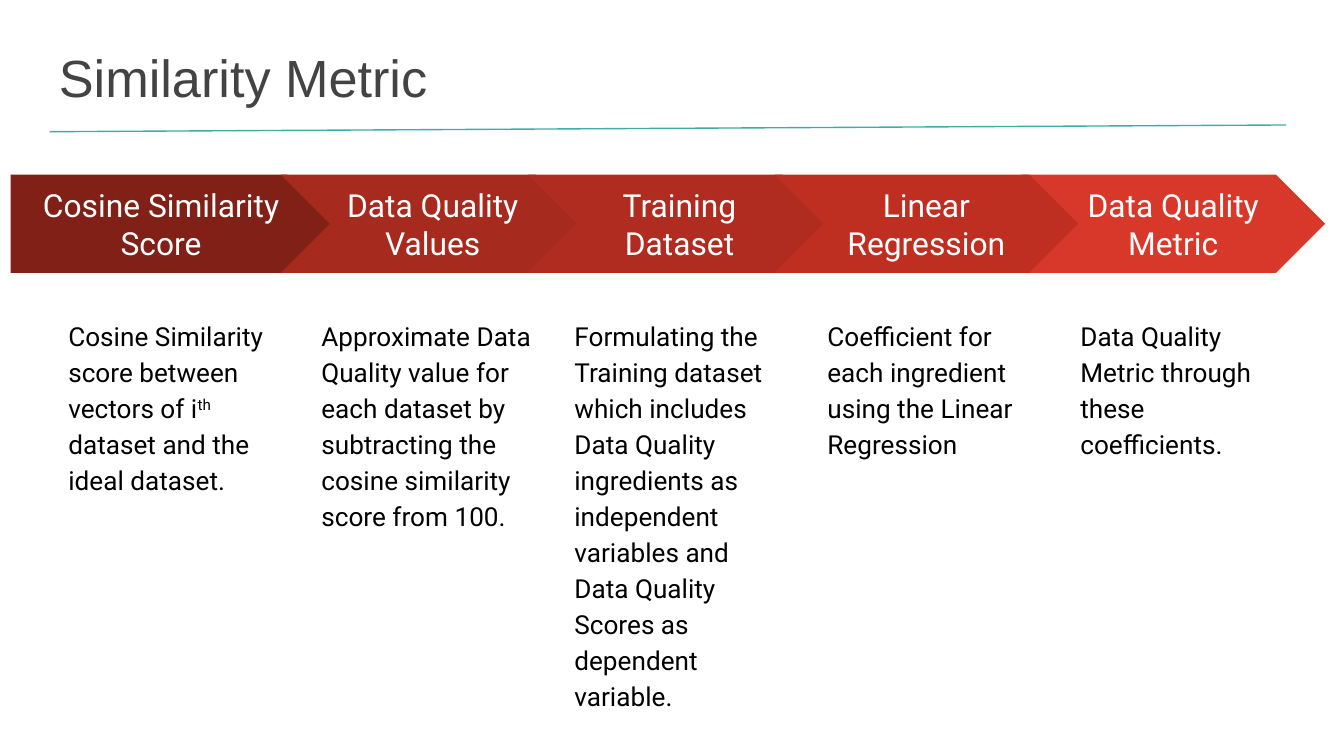
from lxml import etree
from pptx import Presentation
from pptx.dml.color import RGBColor
from pptx.enum.shapes import MSO_CONNECTOR, MSO_SHAPE
from pptx.enum.text import MSO_ANCHOR, PP_ALIGN
from pptx.oxml.ns import qn
from pptx.util import Inches, Pt

STRAIGHT = MSO_CONNECTOR.STRAIGHT
PENTAGON, CHEVRON = MSO_SHAPE.PENTAGON, MSO_SHAPE.CHEVRON
TOP, MIDDLE = MSO_ANCHOR.TOP, MSO_ANCHOR.MIDDLE
LEFT, CENTER = PP_ALIGN.LEFT, PP_ALIGN.CENTER

WHITE = RGBColor(0xFF, 0xFF, 0xFF)
BLACK = RGBColor(0x00, 0x00, 0x00)
GRAY = RGBColor(0x43, 0x43, 0x43)
TEAL = RGBColor(0x3E, 0xAD, 0xA7)
REDS = [
    RGBColor(0x80, 0x20, 0x17),
    RGBColor(0xA7, 0x2A, 0x1E),
    RGBColor(0xB0, 0x2C, 0x20),
    RGBColor(0xBE, 0x2F, 0x22),
    RGBColor(0xD8, 0x38, 0x29),
]

TITLE = "Similarity Metric"
# Heading, then the description as (text, is superscript) runs
STEPS = [
    ("Cosine Similarity Score",
     [("Cosine Similarity score between vectors of i", False),
      ("th", True),
      (" dataset and the ideal dataset.", False)]),
    ("Data Quality Values",
     [("Approximate Data Quality value for each dataset by subtracting "
       "the cosine similarity score from 100.", False)]),
    ("Training Dataset",
     [("Formulating the Training dataset which includes Data Quality "
       "ingredients as independent variables and Data Quality Scores as "
       "dependent variable.", False)]),
    ("Linear Regression",
     [("Coefficient for each ingredient using the Linear Regression", False)]),
    ("Data Quality Metric",
     [("Data Quality Metric through these coefficients.", False)]),
]
STACKING = [0, 1, 2, 4, 3]  # the fourth arrow lies over the fifth

SLIDE_WIDTH = Inches(10)
SLIDE_HEIGHT = SLIDE_WIDTH * 9 // 16

ARROW_TOP, ARROW_HEIGHT = 1.3, 0.73
FIRST_LEFT, FIRST_WIDTH = 0.08, 2.42
CHEVRON_LEFT, CHEVRON_WIDTH = 2.09, 2.26
CHEVRON_PITCH = (7.6 - CHEVRON_LEFT) / (len(STEPS) - 2)
TEXT_LEFT, TEXT_TOP = 0.41, 2.25
TEXT_WIDTH, TEXT_HEIGHT = 1.78, 2.57
TEXT_PITCH = (7.94 - TEXT_LEFT) / (len(STEPS) - 1)


def write(shape, runs, size, color, font, align=LEFT, anchor=TOP, spacing=None):
    frame = shape.text_frame
    frame.word_wrap = True
    frame.vertical_anchor = anchor
    frame.margin_left = frame.margin_right = Inches(0.1)
    frame.margin_top = frame.margin_bottom = Inches(0.1)
    para = frame.paragraphs[0]
    para.alignment = align
    para.line_spacing = spacing
    for text, superscript in runs:
        span = para.add_run()
        span.text = text
        span.font.name = font
        span.font.size = Pt(size)
        span.font.color.rgb = color
        if superscript:
            span.font._element.set("baseline", "30000")


def add_textbox(page, left, top, width, height):
    return page.shapes.add_textbox(
        Inches(left), Inches(top), Inches(width), Inches(height))


def add_arrow(page, index, heading):
    if index == 0:
        kind, left, width = PENTAGON, FIRST_LEFT, FIRST_WIDTH
    else:
        kind, width = CHEVRON, CHEVRON_WIDTH
        left = CHEVRON_LEFT + (index - 1) * CHEVRON_PITCH
    arrow = page.shapes.add_shape(
        kind, Inches(left), Inches(ARROW_TOP), Inches(width), Inches(ARROW_HEIGHT))
    arrow.shadow.inherit = False
    arrow.fill.solid()
    arrow.fill.fore_color.rgb = REDS[index]
    arrow.line.fill.background()
    write(arrow, [(heading, False)], 17, WHITE, "Roboto", CENTER, MIDDLE)


def add_rule(page):
    rule = page.shapes.add_connector(
        STRAIGHT, Inches(0.37), Inches(0.98), Inches(9.57), Inches(0.93))
    rule.line.color.rgb = TEAL
    rule.line.width = Pt(0.75)
    etree.SubElement(rule._element.spPr, qn("a:effectLst"))


def main():
    deck = Presentation()
    deck.slide_width, deck.slide_height = SLIDE_WIDTH, SLIDE_HEIGHT
    page = deck.slides.add_slide(deck.slide_layouts[6])

    add_rule(page)
    title = add_textbox(page, 0.34, 0.24, 9.32, 0.63)
    write(title, [(TITLE, False)], 28, GRAY, "Arial")

    for index in STACKING:
        heading, description = STEPS[index]
        add_arrow(page, index, heading)
        box = add_textbox(page, TEXT_LEFT + index * TEXT_PITCH, TEXT_TOP,
                          TEXT_WIDTH, TEXT_HEIGHT)
        write(box, description, 14, BLACK, "Roboto", spacing=1.15)

    deck.save("out.pptx")


if __name__ == "__main__":
    main()
